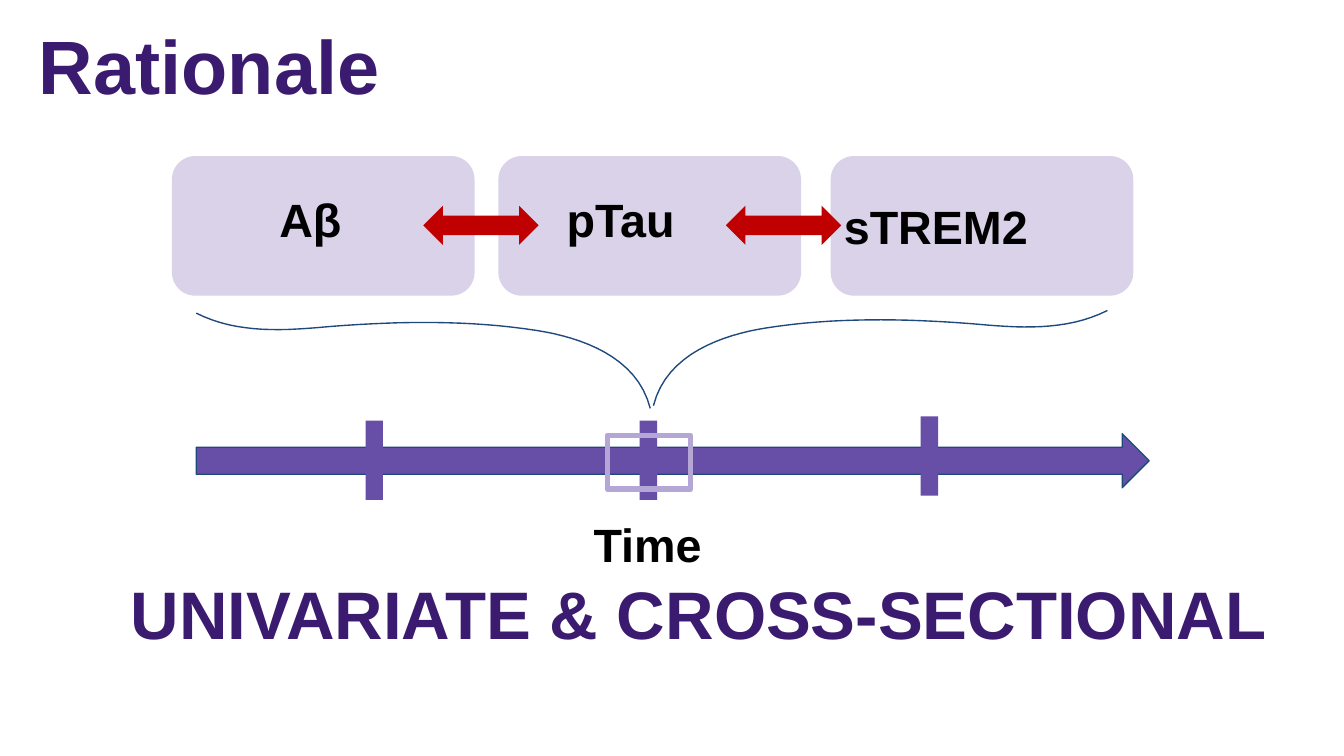
import dataclasses

import pptx
import pptx.dml.color
import pptx.enum.shapes
import pptx.enum.text
import pptx.util

Cm = pptx.util.Cm
Pt = pptx.util.Pt
Preset = pptx.enum.shapes.MSO_SHAPE
Align = pptx.enum.text.PP_ALIGN


@dataclasses.dataclass(frozen=True)
class Theme:
    font: str = "Arial"
    heading: str = "3B1B70"
    label: str = "000000"
    card: str = "D9D2E9"
    timeline: str = "674EA7"
    outline: str = "1F497D"
    highlight: str = "B4A7D6"
    link: str = "C00000"
    title_size: float = 40.5
    headline_size: float = 36
    label_size: float = 25
    thin: float = 0.75
    thick: float = 3


def rgb(value):
    return pptx.dml.color.RGBColor.from_string(value)


def bezier_points(start, segments, steps=16):
    points = [start]
    for c1, c2, end in segments:
        origin = points[-1]
        for step in range(1, steps + 1):
            t = step / steps
            u = 1 - t
            points.append(tuple(
                u**3 * a + 3 * u**2 * t * b + 3 * u * t**2 * c + t**3 * d
                for a, b, c, d in zip(origin, c1, c2, end)))
    return points


class SlideBuilder:
    def __init__(self, slide, theme):
        self.slide = slide
        self.theme = theme

    def place(self, shape, box):
        shape.left, shape.top, shape.width, shape.height = map(Cm, box)

    def set_text(self, shape, text, size, color, align=Align.LEFT):
        frame = shape.text_frame
        frame.text = text
        frame.word_wrap = True
        frame.auto_size = pptx.enum.text.MSO_AUTO_SIZE.SHAPE_TO_FIT_TEXT
        frame.vertical_anchor = pptx.enum.text.MSO_ANCHOR.TOP
        paragraph = frame.paragraphs[0]
        paragraph.alignment = align
        font = paragraph.font
        font.name, font.size, font.bold = self.theme.font, Pt(size), True
        font.color.rgb = rgb(color)

    def title(self, text, box):
        title = self.slide.shapes.title
        self.place(title, box)
        self.set_text(title, text, self.theme.title_size, self.theme.heading)

    def text(self, text, box, size, color, align=Align.LEFT):
        area = self.slide.shapes.add_textbox(*map(Cm, box))
        self.set_text(area, text, size, color, align)

    def label(self, text, box):
        self.text(text, box, self.theme.label_size, self.theme.label)

    def paint(self, shape, fill=None, line=None, width=0):
        shape.shadow.inherit = False
        if fill:
            shape.fill.solid()
            shape.fill.fore_color.rgb = rgb(fill)
        else:
            shape.fill.background()
        if line:
            shape.line.color.rgb = rgb(line)
            shape.line.width = Pt(width)
        else:
            shape.line.fill.background()

    def shape(self, preset, box, **paint):
        self.paint(self.slide.shapes.add_shape(preset, *map(Cm, box)), **paint)

    def curve(self, points, **paint):
        points = [(Cm(x), Cm(y)) for x, y in points]
        builder = self.slide.shapes.build_freeform(*points[0])
        builder.add_line_segments(points[1:], close=False)
        self.paint(builder.convert_to_shape(), **paint)


def main():
    deck = pptx.Presentation()
    deck.slide_width, deck.slide_height = Cm(25.4), Cm(14.29)
    theme = Theme()
    page = SlideBuilder(deck.slides.add_slide(deck.slide_layouts[5]), theme)

    page.title("Rationale", (0.48, 0.23, 20.19, 1.98))

    for card_left in (3.25, 9.42, 15.7):
        page.shape(Preset.ROUNDED_RECTANGLE, (card_left, 2.95, 5.72, 2.64),
                   fill=theme.card)
    for marker, left, top, width in (("Aβ", 5.03, 3.48, 2.39),
                                     ("pTau", 10.46, 3.48, 2.62),
                                     ("sTREM2", 15.7, 3.61, 4.34)):
        page.label(marker, (left, top, width, 1.32))

    page.shape(Preset.RIGHT_ARROW, (3.71, 8.2, 18.01, 1.02),
               fill=theme.timeline, line=theme.outline, width=theme.thin)
    page.label("Time", (10.97, 9.63, 2.62, 1.32))
    for tick_left, tick_top in ((6.91, 7.95), (12.09, 7.95), (17.4, 7.87)):
        page.shape(Preset.RECTANGLE, (tick_left, tick_top, 0.33, 1.5),
                   fill=theme.timeline)
    page.shape(Preset.RECTANGLE, (11.48, 8.23, 1.57, 1.02),
               line=theme.highlight, width=theme.thick)

    left_brace = bezier_points((3.71, 5.92), (
        ((4.5, 6.32), (5.41, 6.25), (6.27, 6.17)),
        ((7.57, 6.07), (8.89, 6.05), (10.16, 6.25)),
        ((10.97, 6.38), (12.04, 6.73), (12.29, 7.72))))
    right_brace = [(24.64 - x, y - 0.05) for x, y in left_brace]
    for brace in (left_brace, right_brace):
        page.curve(brace, line=theme.outline, width=theme.thin)

    for link_left in (8, 13.72):
        page.shape(Preset.LEFT_RIGHT_ARROW, (link_left, 3.89, 2.18, 0.74),
                   fill=theme.link)

    page.text("UNIVARIATE & CROSS-SECTIONAL", (1.73, 10.69, 22.96, 1.8),
              theme.headline_size, theme.heading, Align.CENTER)

    deck.save("out.pptx")


if __name__ == "__main__":
    main()
